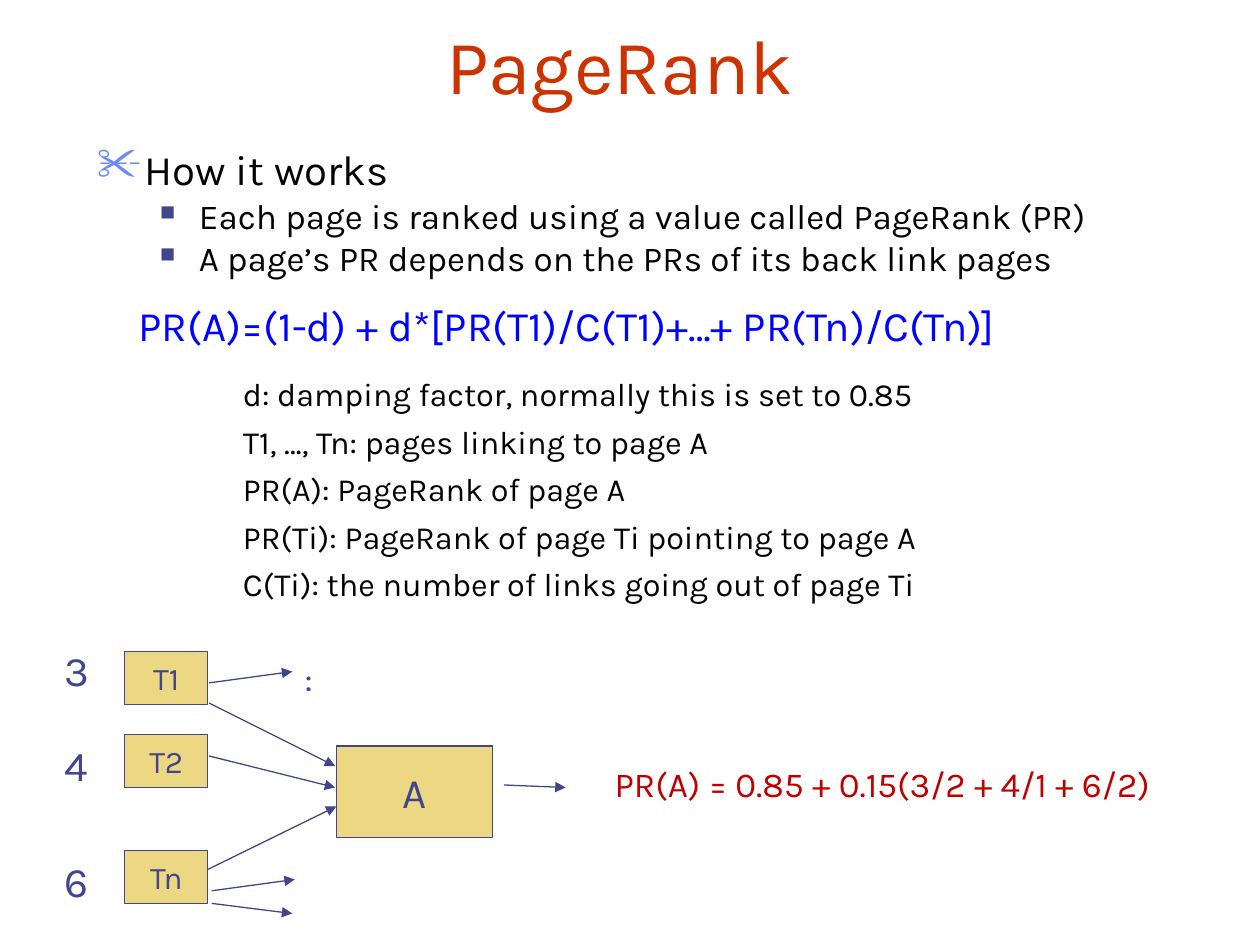
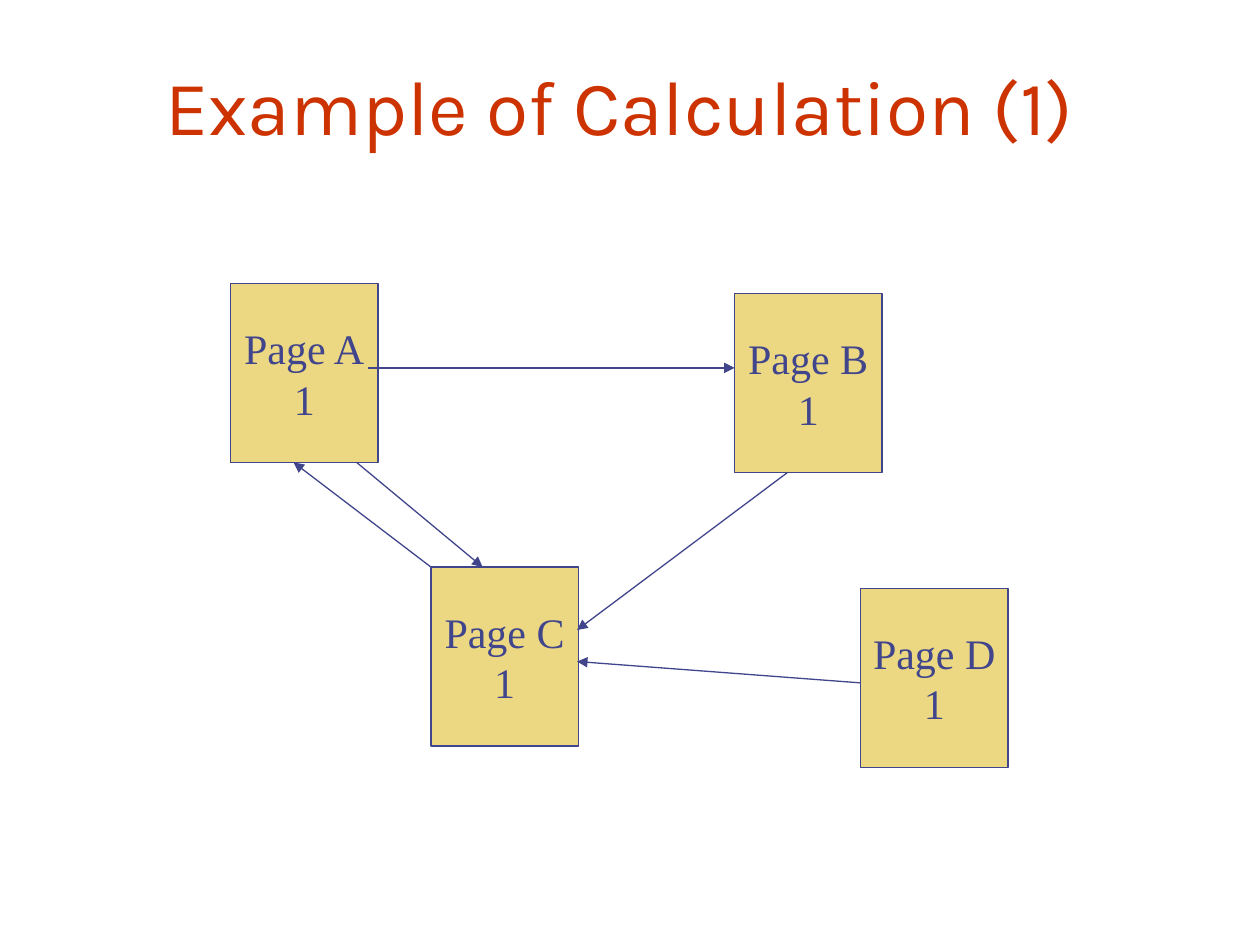
from lxml import etree
from pptx import Presentation
from pptx.dml.color import RGBColor
from pptx.enum.shapes import MSO_CONNECTOR, MSO_SHAPE
from pptx.enum.text import MSO_ANCHOR as Anchor, MSO_AUTO_SIZE as AutoSize, PP_ALIGN as Align
from pptx.oxml.ns import qn
from pptx.util import Inches, Pt

COLORS = {
    "title": "CC3300",
    "body": "030305",
    "navy": "40458C",
    "scissors": "6F89F7",
    "formula": "0000FF",
    "result": "C00000",
    "box": "ECD882",
}
SCISSORS = ("✂", "scissors", 110)
SQUARE = ("■", "navy", 60)


def add_text(slide, box, lines, size=24, color="navy", font="Karla", align=Align.LEFT,
             anchor=Anchor.TOP, wrap=True, grow=False, filled=False,
             indent=None, space=0, line_spacing=None):
    area = [Inches(length) for length in box]
    if filled:
        shape = slide.shapes.add_shape(MSO_SHAPE.RECTANGLE, *area)
        shape.shadow.inherit = False
        shape.fill.solid()
        shape.fill.fore_color.rgb = RGBColor.from_string(COLORS["box"])
        shape.line.color.rgb = RGBColor.from_string(COLORS["navy"])
        shape.line.width = Pt(0.75)
    else:
        shape = slide.shapes.add_textbox(*area)
    frame = shape.text_frame
    frame.word_wrap = wrap
    frame.vertical_anchor = anchor
    frame.auto_size = AutoSize.SHAPE_TO_FIT_TEXT if grow else AutoSize.NONE
    for number, line in enumerate(lines):
        text, line_size, bullet, line_indent, level = (
            (line, size, None, indent, 0) if isinstance(line, str) else line)
        paragraph = frame.paragraphs[0] if number == 0 else frame.add_paragraph()
        paragraph.text = text
        paragraph.alignment = align
        paragraph.level = level
        if line_spacing:
            paragraph.line_spacing = line_spacing
        if number and space:
            paragraph.space_before = Pt(space)
        properties = paragraph._p.get_or_add_pPr()
        if line_indent:
            margin, first = line_indent
            properties.set("marL", str(Inches(margin)))
            properties.set("indent", str(Inches(first)))
        if bullet:
            symbol, bullet_color, percent = bullet
            holder = etree.SubElement(properties, qn("a:buClr"))
            etree.SubElement(holder, qn("a:srgbClr"), val=COLORS[bullet_color])
            etree.SubElement(properties, qn("a:buSzPct"), val=str(percent * 1000))
            etree.SubElement(properties, qn("a:buChar"), char=symbol)
        paragraph.font.size = Pt(line_size)
        paragraph.font.name = font
        paragraph.font.color.rgb = RGBColor.from_string(COLORS[color])


def add_arrow(slide, x1, y1, x2, y2):
    arrow = slide.shapes.add_connector(
        MSO_CONNECTOR.STRAIGHT, Inches(x1), Inches(y1), Inches(x2), Inches(y2))
    arrow.line.color.rgb = RGBColor.from_string(COLORS["navy"])
    arrow.line.width = Pt(0.75)
    etree.SubElement(arrow.line._get_or_add_ln(), qn("a:tailEnd"), type="triangle")
    etree.SubElement(arrow._element.spPr, qn("a:effectLst"))


title_style = dict(size=44, color="title", align=Align.CENTER, anchor=Anchor.BOTTOM)
node_style = dict(filled=True, align=Align.CENTER, anchor=Anchor.MIDDLE, wrap=False)
hanging = (0.38, -0.38)
sub_hanging = (0.81, -0.31)

presentation = Presentation()
presentation.slide_width = Inches(10)
presentation.slide_height = Inches(7.5)
blank = presentation.slide_layouts[6]

slide = presentation.slides.add_slide(blank)
add_text(slide, (0.67, 0.17, 8.5, 0.75), ["PageRank"], **title_style)
add_text(slide, (0.67, 1.17, 8.5, 1.17), [
    ("How it works", 24, SCISSORS, hanging, 0),
    ("Each page is ranked using a value called PageRank (PR)", 20, SQUARE, sub_hanging, 1),
    ("A page’s PR depends on the PRs of its back link pages", 20, SQUARE, sub_hanging, 1),
], color="body", space=5, line_spacing=0.8)
add_text(slide, (1, 2.33, 8.08, 0.58), ["PR(A)=(1-d) + d*[PR(T1)/C(T1)+…+ PR(Tn)/C(Tn)]"],
         color="formula", indent=hanging)
add_text(slide, (1.83, 2.92, 6.08, 2), [
    "d: damping factor, normally this is set to 0.85",
    "T1, …, Tn: pages linking to page A",
    "PR(A): PageRank of page A",
    "PR(Ti): PageRank of page Ti pointing to page A",
    "C(Ti): the number of links going out of page Ti",
], size=18.5, color="body", indent=hanging, space=5)

add_text(slide, (2.67, 5.92, 1.24, 0.73), ["A"], **node_style)
for name, node_top, rank, rank_top in [
    ("T1", 5.17, "3", 5.07),
    ("T2", 5.83, "4", 5.82),
    ("Tn", 6.75, "6", 6.74),
]:
    add_text(slide, (0.99, node_top, 0.66, 0.42), [name], size=18, **node_style)
    add_text(slide, (0.41, rank_top, 0.42, 0.5), [rank], grow=True)
add_text(slide, (2.32, 5.17, 0.25, 0.44), [":"], size=20, grow=True)
add_text(slide, (4.78, 6, 4.64, 0.44), ["PR(A) = 0.85 + 0.15(3/2 + 4/1 + 6/2)"],
         size=20, color="result", wrap=False, grow=True)
for ends in [
    (1.66, 5.58, 2.66, 6.08),
    (1.66, 6, 2.66, 6.25),
    (1.65, 6.9, 2.67, 6.4),
    (4, 6.23, 4.49, 6.25),
    (1.66, 5.42, 2.32, 5.33),
    (1.68, 7.07, 2.34, 6.98),
    (1.68, 7.17, 2.32, 7.25),
]:
    add_arrow(slide, *ends)

slide = presentation.slides.add_slide(blank)
add_text(slide, (0.67, 0.33, 8.5, 0.92), ["Example of Calculation (1)"], **title_style)
for page, left, top in [
    ("Page A", 1.83, 2.25),
    ("Page C", 3.42, 4.5),
    ("Page B", 5.83, 2.33),
    ("Page D", 6.83, 4.67),
]:
    add_text(slide, (left, top, 1.17, 1.42), [page, "1"], font="Times New Roman", **node_style)
for ends in [
    (2.92, 2.92, 5.83, 2.92),
    (6.25, 3.75, 4.58, 5),
    (6.83, 5.42, 4.58, 5.25),
    (2.83, 3.67, 3.83, 4.5),
    (3.42, 4.5, 2.33, 3.67),
]:
    add_arrow(slide, *ends)

presentation.save("out.pptx")
